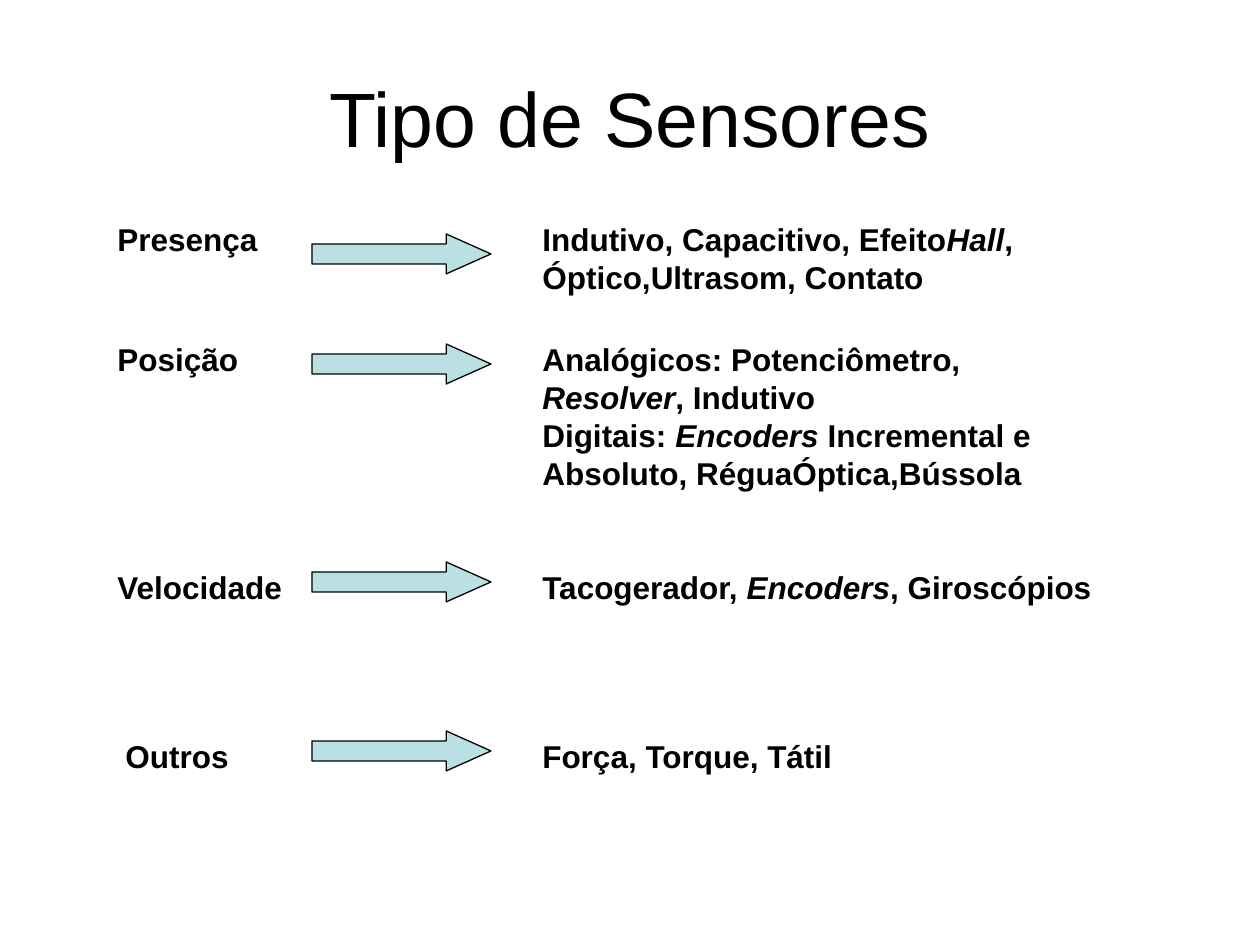
from pptx import Presentation
from pptx.dml.color import RGBColor
from pptx.enum.shapes import MSO_SHAPE as Shape
from pptx.enum.text import MSO_ANCHOR as Anchor, MSO_AUTO_SIZE as AutoSize, PP_ALIGN as Align
from pptx.util import Emu, Pt

PX_PER_INCH = 126
FONT = "Arial"
BLACK, PALE_TEAL = "000000", "BBE0E3"
DETAIL_X = 530
ARROW_X, ARROW_W, ARROW_H = 312, 179, 40
LABEL_H = 50

# Each sensor type: label (text, x, width), top, arrow top, detail (width, height)
# and detail paragraphs, whose pieces alternate between upright and italic
SENSORS = [
    (("Presença", 105, 277), 214, 234, (586, 146),
     [["Indutivo, Capacitivo, Efeito", "Hall", ", Óptico,Ultrasom, Contato"]]),
    (("Posição", 105, 268), 334, 344, (517, 260),
     [["Analógicos: Potenciômetro, ", "Resolver", ", Indutivo"],
      ["Digitais: ", "Encoders ", "Incremental e Absoluto, RéguaÓptica,Bússola"]]),
    (("Velocidade", 105, 238), 562, 562, (625, 146),
     [["Tacogerador, ", "Encoders", ", Giroscópios"]]),
    (("Outros", 113, 268), 731, 731, (527, 108),
     [["Força, Torque, Tátil"]]),
]


def px(length):
    return Emu(round(length * 914400 / PX_PER_INCH))


def color(hex_code):
    return RGBColor.from_string(hex_code)


def style_font(font, size, bold=False, italic=False):
    font.name = FONT
    font.size = Pt(size)
    font.bold = bold
    font.italic = italic
    font.color.rgb = color(BLACK)


def set_title(slide, text):
    title = slide.shapes.title
    title.left, title.top, title.width, title.height = map(px, (63, 38, 1134, 157))
    frame = title.text_frame
    frame.text = text
    frame.vertical_anchor = Anchor.MIDDLE
    heading = frame.paragraphs[0]
    heading.alignment = Align.CENTER
    style_font(heading.runs[0].font, 44)


def add_text(slide, x, y, width, height, paragraphs):
    box = slide.shapes.add_textbox(px(x), px(y), px(width), px(height))
    frame = box.text_frame
    frame.word_wrap = True
    frame.auto_size = AutoSize.SHAPE_TO_FIT_TEXT
    for number, pieces in enumerate(paragraphs):
        paragraph = frame.add_paragraph() if number else frame.paragraphs[0]
        for position, piece in enumerate(pieces):
            run = paragraph.add_run()
            run.text = piece
            style_font(run.font, 18, bold=True, italic=position % 2 == 1)


def add_arrow(slide, y):
    arrow = slide.shapes.add_shape(
        Shape.RIGHT_ARROW, px(ARROW_X), px(y), px(ARROW_W), px(ARROW_H))
    arrow.adjustments[0] = 0.5
    arrow.adjustments[1] = 1.12
    arrow.shadow.inherit = False
    arrow.fill.solid()
    arrow.fill.fore_color.rgb = color(PALE_TEAL)
    arrow.line.color.rgb = color(BLACK)
    arrow.line.width = Pt(0.75)


def main():
    deck = Presentation()
    deck.slide_width, deck.slide_height = px(1260), px(945)
    slide = deck.slides.add_slide(deck.slide_layouts[5])

    set_title(slide, "Tipo de Sensores")

    # Sensor types, each with an arrow to its examples
    for (label, label_x, label_w), top, arrow_top, (width, height), examples in SENSORS:
        add_text(slide, label_x, top, label_w, LABEL_H, [[label]])
        add_text(slide, DETAIL_X, top, width, height, examples)
        add_arrow(slide, arrow_top)

    deck.save("out.pptx")


if __name__ == "__main__":
    main()
